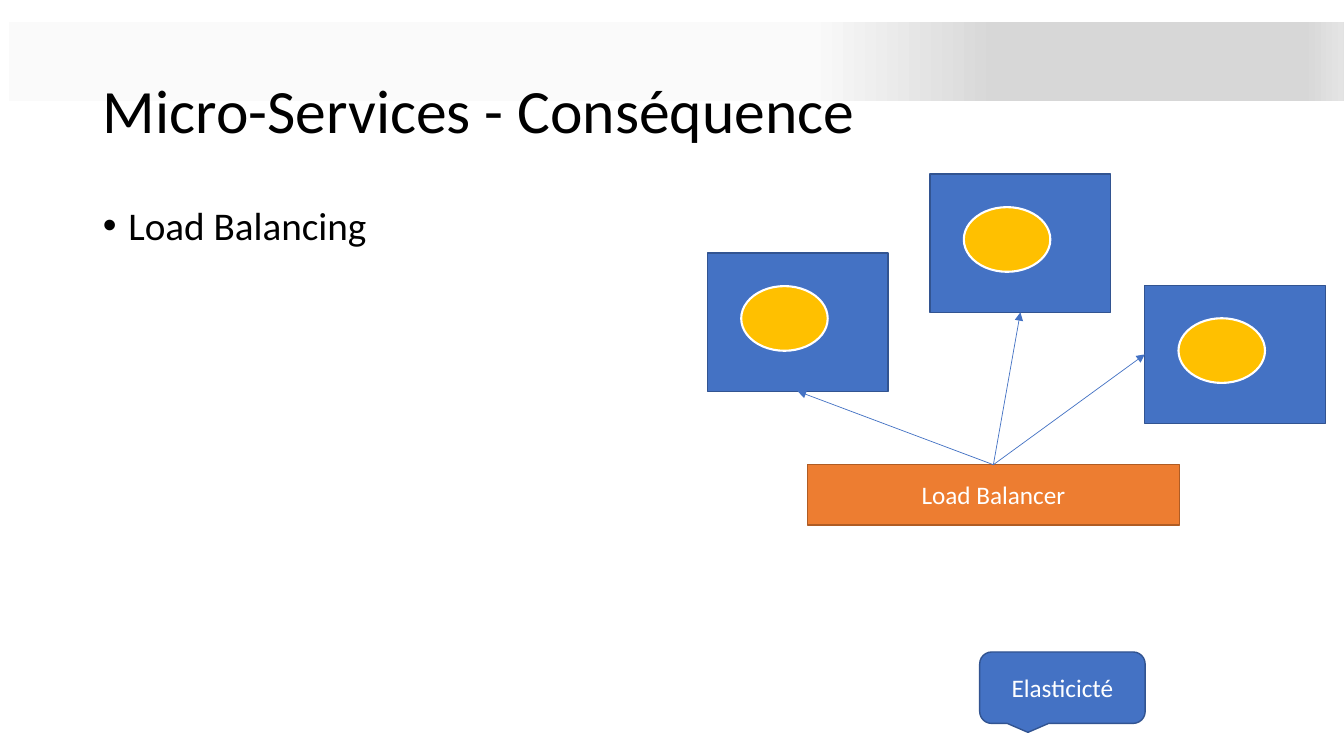
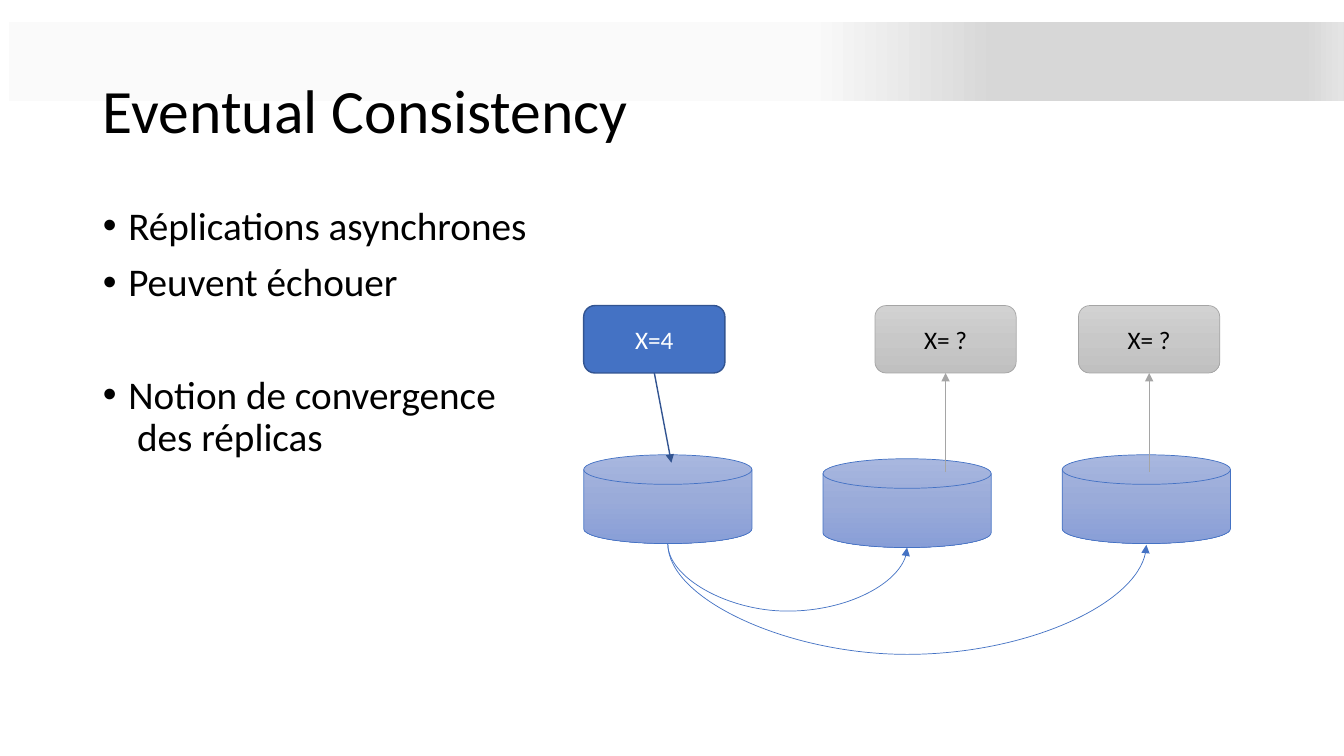
from dataclasses import dataclass
from typing import NamedTuple, Optional, Union

from lxml import etree
from pptx import Presentation
from pptx import oxml
from pptx import util as u
from pptx.dml import color
from pptx.enum import shapes, text
from pptx.oxml import ns
from pptx.shapes.autoshape import Shape
from pptx.shapes.connector import Connector
from pptx.slide import Slide

KIND = shapes.MSO_SHAPE
CONNECTOR = shapes.MSO_CONNECTOR
TOP, LEFT, BOTTOM = 0, 1, 2  # connection sites of a rectangle


class Gradient(NamedTuple):
    stops: tuple[tuple[int, str], ...]
    angle: int


class Box(NamedTuple):
    """Left, top, width and height in centimetres."""
    left: float
    top: float
    width: float
    height: float

    @property
    def center(self) -> float:
        return self.left + self.width / 2

    @property
    def bottom(self) -> float:
        return self.top + self.height

    def lengths(self) -> list[u.Cm]:
        return [u.Cm(value) for value in self]


class Style(NamedTuple):
    fill: Union[str, Gradient]
    line: Optional[str] = None
    line_width: float = 1
    ink: str = "FFFFFF"


class Stroke(NamedTuple):
    color: str
    width: float


class Bullet(NamedTuple):
    text: str
    space_before: float = 10


@dataclass(frozen=True)
class Theme:
    font: str = "Calibri"
    ink: str = "000000"
    title_size: float = 44
    body_size: float = 28
    label_size: float = 18
    band: Style = Style(Gradient(((60, "FAFAFA"), (74, "D7D7D7"), (97, "D7D7D7"), (100, "E4E4E4")), 0))
    blue: Style = Style("4472C4", "325491")
    orange: Style = Style("ED7D31", "AF5C24")
    service: Style = Style("FFC000", "FFFFFF", 1.5)
    gray: Style = Style(Gradient(((0, "D2D2D2"), (50, "C8C8C8"), (100, "C0C0C0")), 90), "A5A5A5", 0.5, "000000")
    disk: Style = Style(Gradient(((0, "A8B7DF"), (50, "9AABD9"), (100, "889ED7")), 90), "4472C4", 0.5)
    blue_link: Stroke = Stroke("4472C4", 0.5)
    dark_link: Stroke = Stroke("325491", 1)
    gray_link: Stroke = Stroke("A5A5A5", 0.5)


THEME = Theme()
SLIDE_SIZE = (33.87, 19.05)
BAND = Box(0.23, 0.56, 33.63, 1.98)
TITLE = Box(2.34, 1.02, 29.21, 3.68)
BODY = Box(2.34, 5.08, 29.21, 12.09)
NARROW_BODY = Box(BODY.left, BODY.top, 9.04, BODY.height)


def rgb(value: str) -> color.RGBColor:
    return color.RGBColor.from_string(value)


def place(shape: Shape, box: Box) -> None:
    shape.left, shape.top, shape.width, shape.height = box.lengths()


def format_runs(paragraph, size: float, ink: str) -> None:
    for run in paragraph.runs:
        run.font.name = THEME.font
        run.font.size = u.Pt(size)
        run.font.color.rgb = rgb(ink)
    for line_break in paragraph._p.findall(ns.qn("a:br")):
        etree.SubElement(line_break, ns.qn("a:rPr"), sz=str(int(size * 100)))


def fill_gradient(shape: Shape, gradient: Gradient) -> None:
    stops = "".join(
        f'<a:gs pos="{position * 1000}"><a:srgbClr val="{value}"/></a:gs>'
        for position, value in gradient.stops
    )
    shape.fill.background()
    properties = shape._element.spPr
    properties.replace(
        properties.find(ns.qn("a:noFill")),
        oxml.parse_xml(
            f'<a:gradFill rotWithShape="1" {ns.nsdecls("a")}><a:gsLst>{stops}</a:gsLst>'
            f'<a:lin ang="{gradient.angle * 60000}" scaled="0"/></a:gradFill>'
        ),
    )


def add_shape(slide: Slide, kind: KIND, box: Box, style: Style, label: str = "") -> Shape:
    shape = slide.shapes.add_shape(kind, *box.lengths())
    shape.shadow.inherit = False
    if isinstance(style.fill, Gradient):
        fill_gradient(shape, style.fill)
    else:
        shape.fill.solid()
        shape.fill.fore_color.rgb = rgb(style.fill)
    if style.line:
        shape.line.color.rgb = rgb(style.line)
        shape.line.width = u.Pt(style.line_width)
    else:
        shape.line.fill.background()
    if label:
        shape.text_frame.text = label
        shape.text_frame.vertical_anchor = text.MSO_ANCHOR.MIDDLE
        paragraph = shape.text_frame.paragraphs[0]
        paragraph.alignment = text.PP_ALIGN.CENTER
        format_runs(paragraph, THEME.label_size, style.ink)
    return shape


def add_arrow(slide: Slide, start: tuple[float, float], end: tuple[float, float],
              stroke: Stroke, kind: CONNECTOR = CONNECTOR.STRAIGHT) -> Connector:
    arrow = slide.shapes.add_connector(kind, *(u.Cm(value) for value in (*start, *end)))
    arrow.line.color.rgb = rgb(stroke.color)
    arrow.line.width = u.Pt(stroke.width)
    etree.SubElement(arrow.line._get_or_add_ln(), ns.qn("a:tailEnd"), type="triangle")
    etree.SubElement(arrow._element.spPr, ns.qn("a:effectLst"))
    return arrow


def add_hanging_arrow(slide: Slide, start: tuple[float, float], end: tuple[float, float],
                      depth: float) -> None:
    """Curve that hangs below its two ends, depth being measured from the start."""
    run, drop = end[0] - start[0], end[1] - start[1]
    middle_x, middle_y = (start[0] + end[0]) / 2, (start[1] + end[1]) / 2
    # The preset runs sideways, so it is laid out flipped and turned by 270 degrees.
    arrow = add_arrow(slide, (middle_x + drop / 2, middle_y - run / 2),
                      (middle_x - drop / 2, middle_y + run / 2), THEME.blue_link, CONNECTOR.CURVE)
    properties = arrow._element.spPr
    properties.find(ns.qn("a:xfrm")).set("rot", str(270 * 60000))
    adjustments = properties.find(ns.qn("a:prstGeom")).find(ns.qn("a:avLst"))
    etree.SubElement(adjustments, ns.qn("a:gd"), name="adj1",
                     fmla=f"val {round(depth / drop * 100000)}")


def add_slide(presentation: Presentation, title: str, bullets: list[Bullet], body_box: Box) -> Slide:
    slide = presentation.slides.add_slide(presentation.slide_layouts[1])
    heading, body = slide.placeholders[0], slide.placeholders[1]
    place(heading, TITLE)
    place(body, body_box)

    heading.text_frame.text = title
    heading.text_frame.vertical_anchor = text.MSO_ANCHOR.MIDDLE
    paragraph = heading.text_frame.paragraphs[0]
    paragraph.alignment = text.PP_ALIGN.LEFT
    format_runs(paragraph, THEME.title_size, THEME.ink)

    body.text_frame.text = "\n".join(bullet.text for bullet in bullets)
    indent = u.Cm(0.64)
    for index, (paragraph, bullet) in enumerate(zip(body.text_frame.paragraphs, bullets)):
        properties = paragraph._p.get_or_add_pPr()
        properties.set("marL", str(int(indent)))
        properties.set("indent", str(-int(indent)))
        paragraph.space_before = u.Pt(bullet.space_before if index else 0)
        format_runs(paragraph, THEME.body_size, THEME.ink)

    for frame in (heading.text_frame, body.text_frame):
        frame.auto_size = text.MSO_AUTO_SIZE.NONE
        frame.word_wrap = True
        for paragraph in frame.paragraphs:
            paragraph.line_spacing = 0.9
    return slide


def add_master_band(presentation: Presentation, slide: Slide) -> None:
    """Draw the band on a slide, then move it behind everything on the master."""
    band = add_shape(slide, KIND.RECTANGLE, BAND, THEME.band)._element
    band.nvSpPr.cNvPr.set("id", "100")
    presentation.slide_master.shapes._spTree.insert(2, band)


def build_load_balancing(presentation: Presentation) -> Slide:
    slide = add_slide(presentation, "Micro-Services - Conséquence",
                      [Bullet("Load Balancing")], NARROW_BODY)
    add_shape(slide, KIND.ROUNDED_RECTANGULAR_CALLOUT, Box(24.69, 16.43, 4.17, 1.8),
              THEME.blue, "Elasticicté")
    balancer_box = Box(20.35, 11.71, 9.37, 1.52)
    balancer = add_shape(slide, KIND.RECTANGLE, balancer_box, THEME.orange, "Load Balancer")
    for left, top, site in ((17.83, 6.38, BOTTOM), (23.44, 4.39, BOTTOM), (28.85, 7.19, LEFT)):
        server = add_shape(slide, KIND.RECTANGLE, Box(left, top, 4.55, 3.48), THEME.blue)
        add_shape(slide, KIND.OVAL, Box(left + 0.85, top + 0.83, 2.18, 1.63), THEME.service)
        arrow = add_arrow(slide, (balancer_box.center, balancer_box.top), (left, top), THEME.blue_link)
        arrow.begin_connect(balancer, TOP)
        arrow.end_connect(server, site)
    return slide


def build_consistency(presentation: Presentation) -> None:
    slide = add_slide(presentation, "Eventual Consistency", [
        Bullet("Réplications asynchrones"),
        Bullet("Peuvent échouer"),
        Bullet("Notion de convergence\v des réplicas", space_before=50),
    ], BODY)

    disks = [Box(14.71 + 6.03 * column, top, 4.24, 2.24)
             for column, top in enumerate((11.46, 11.56, 11.46))]
    for disk in disks:
        add_shape(slide, KIND.FLOWCHART_MAGNETIC_DISK, disk, THEME.disk)

    writer, *readers = [Box(left, 7.7, 3.56, 1.7) for left in (14.71, 22.05, 27.18)]
    add_shape(slide, KIND.ROUNDED_RECTANGLE, writer, THEME.blue, "X=4")
    add_arrow(slide, (writer.center, writer.bottom), (16.92, 11.66), THEME.dark_link)
    for reader in readers:
        add_shape(slide, KIND.ROUNDED_RECTANGLE, reader, THEME.gray, "X= ?")
        add_arrow(slide, (reader.center, 11.89), (reader.center, reader.bottom), THEME.gray_link)

    source, *replicas = disks
    for replica, drop, depth in zip(replicas, (0.1, 0.03), (1.7, 2.79)):
        add_hanging_arrow(slide, (source.center, source.bottom),
                          (replica.center, source.bottom + drop), depth)


def main() -> None:
    presentation = Presentation()
    presentation.slide_width, presentation.slide_height = map(u.Cm, SLIDE_SIZE)
    first_slide = build_load_balancing(presentation)
    add_master_band(presentation, first_slide)
    build_consistency(presentation)
    presentation.save("out.pptx")


if __name__ == "__main__":
    main()
